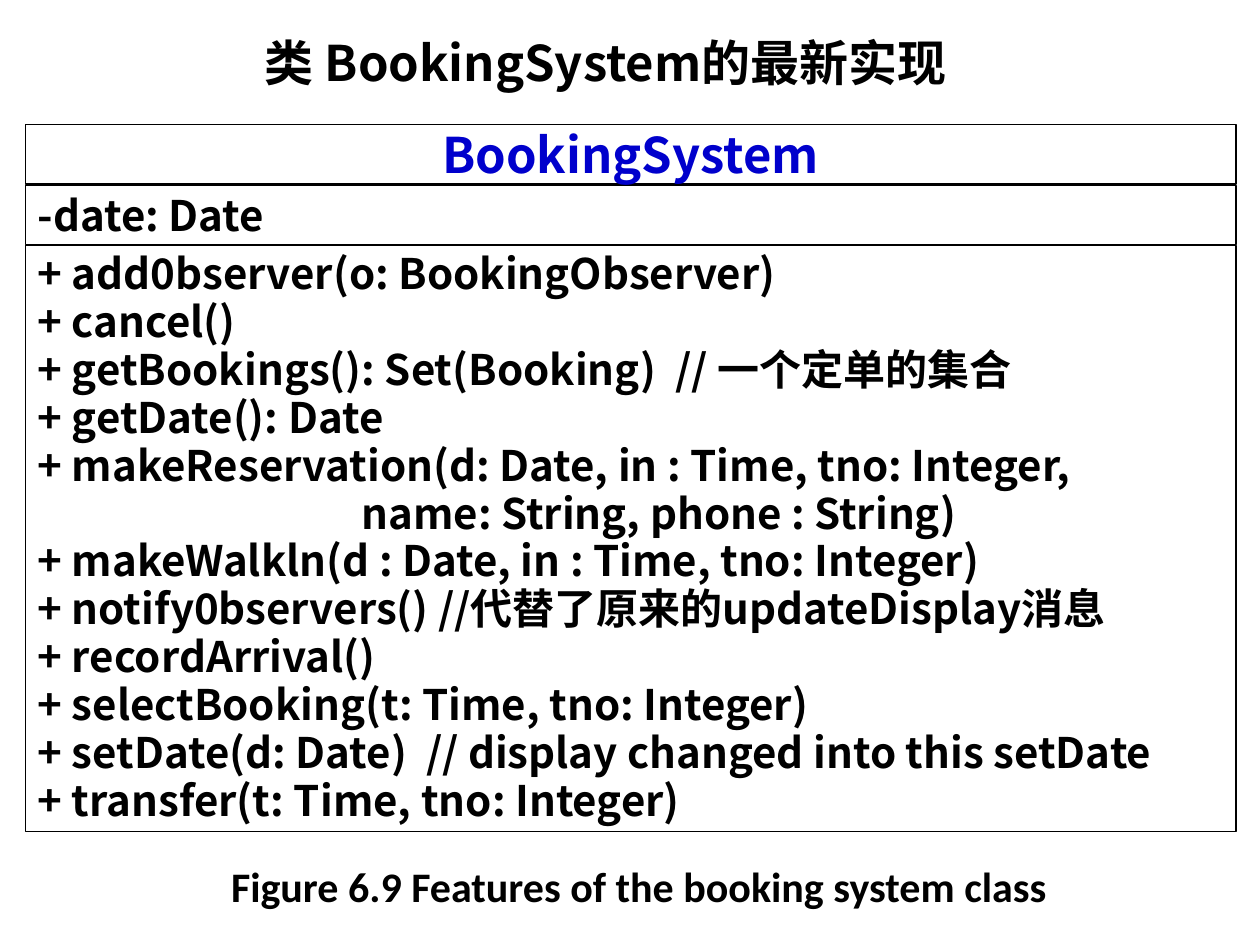
from pptx import Presentation
from pptx.dml.color import RGBColor
from pptx.enum.shapes import MSO_SHAPE
from pptx.enum.text import MSO_ANCHOR, PP_ALIGN
from pptx.oxml.ns import qn
from pptx.util import Inches, Pt
from lxml.etree import SubElement

SANS = "Noto Sans CJK SC"
BLACK, WHITE, BLUE = "000000", "FFFFFF", "0000CC"
CONTINUED = "name: String, phone : String)"
OPERATIONS = [
    "+ add0bserver(o: BookingObserver)",
    "+ cancel()",
    "+ getBookings(): Set(Booking)  // 一个定单的集合",
    "+ getDate(): Date",
    "+ makeReservation(d: Date, in : Time, tno: Integer,",
    CONTINUED,
    "+ makeWalkln(d : Date, in : Time, tno: Integer)",
    "+ notify0bservers() //代替了原来的updateDisplay消息",
    "+ recordArrival()",
    "+ selectBooking(t: Time, tno: Integer)",
    "+ setDate(d: Date)  // display changed into this setDate",
    "+ transfer(t: Time, tno: Integer)",
]


def color(value):
    return RGBColor.from_string(value)


def write(box, lines, size=24, ink=BLACK, font=SANS, align=PP_ALIGN.LEFT,
          spacing=1.0, anchor=MSO_ANCHOR.MIDDLE):
    frame = box.text_frame
    frame.word_wrap = True
    frame.vertical_anchor = anchor
    for index, line in enumerate(lines):
        para = frame.add_paragraph() if index else frame.paragraphs[0]
        para.text = line
        para.alignment = align
        para.line_spacing = spacing
        para.font.name = font
        para.font.size = Pt(size)
        para.font.bold = True
        para.font.color.rgb = color(ink)
        properties = para._p.get_or_add_pPr()
        SubElement(properties.find(qn("a:defRPr")), qn("a:ea"), typeface=font)
        if line == CONTINUED:
            properties.set("marL", str(Inches(2.57)))


def add_compartment(page, left, top, width, height, lines, **style):
    box = page.shapes.add_shape(MSO_SHAPE.RECTANGLE, left, top, width, height)
    box.shadow.inherit = False
    box.fill.solid()
    box.fill.fore_color.rgb = color(WHITE)
    box.line.color.rgb = color(BLACK)
    box.line.width = Pt(0.75)
    write(box, lines, **style)


def add_class_diagram(page, left, top, width):
    row, step = Inches(0.47), Inches(0.48)
    add_compartment(page, left, top, width, row, ["BookingSystem"],
                    size=28, ink=BLUE, align=PP_ALIGN.CENTER)
    add_compartment(page, left, top + 2 * step, width, Inches(4.65),
                    OPERATIONS, spacing=0.95)
    add_compartment(page, left, top + step, width, row, ["-date: Date"])


def add_title(page, left, top, width, height):
    box = page.shapes.add_textbox(left, top, width, height)
    write(box, ["类 BookingSystem的最新实现"], size=28, align=PP_ALIGN.CENTER)


def add_caption(page, left, top, width, height):
    box = page.shapes.add_textbox(left, top, width, height)
    box.text_frame.margin_left = Inches(0.24)
    write(box, ["Figure 6.9 Features of the booking system class"],
          font="Calibri", align=PP_ALIGN.CENTER, spacing=0.8,
          anchor=MSO_ANCHOR.TOP)


def main():
    deck = Presentation()
    deck.slide_width, deck.slide_height = Inches(10), Inches(7.5)
    page = deck.slides.add_slide(deck.slide_layouts[6])
    add_caption(page, Inches(0.5), Inches(6.86), Inches(9), Inches(0.51))
    add_class_diagram(page, Inches(0.2), Inches(0.99), Inches(9.61))
    add_title(page, Inches(1.46), Inches(0.21), Inches(6.69), Inches(0.57))
    deck.save("out.pptx")


if __name__ == "__main__":
    main()
